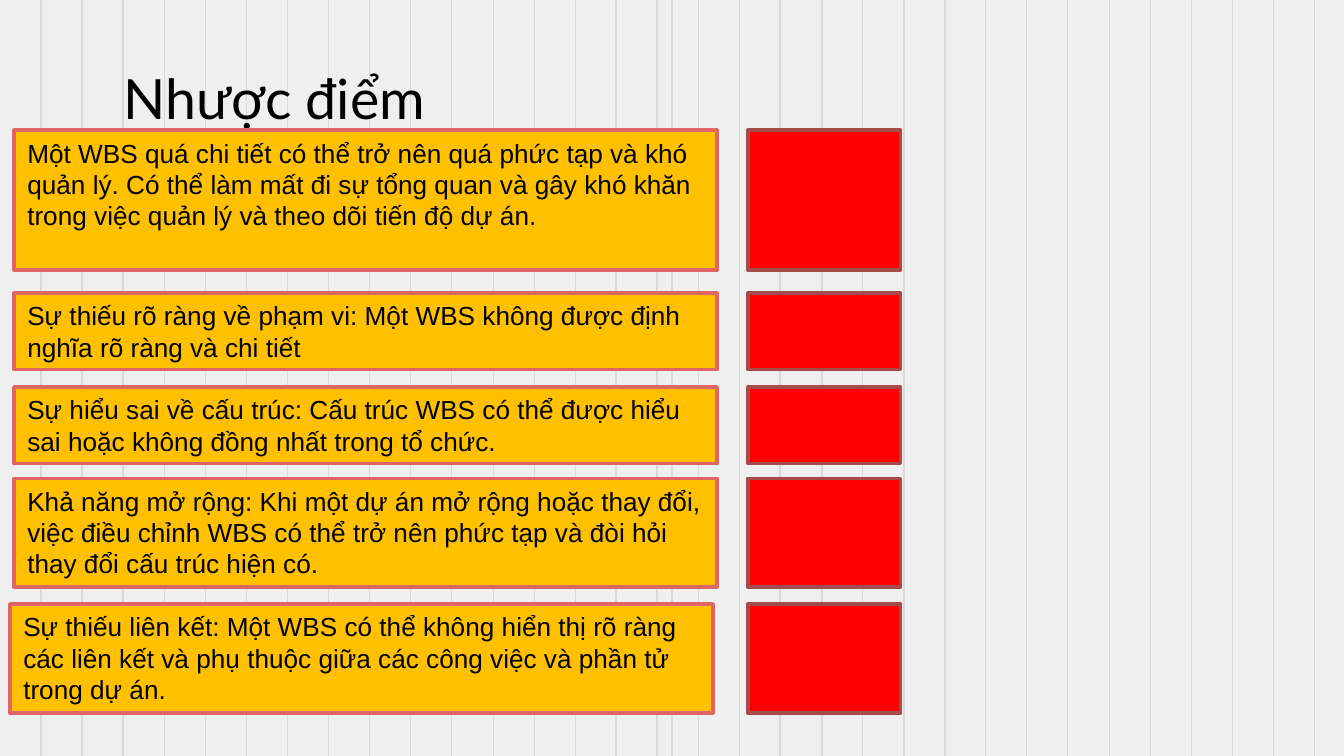
"""Builds the slide on the drawbacks of a work breakdown structure."""
from lxml import etree
from pptx import Presentation
from pptx.dml.color import RGBColor
from pptx.enum.shapes import MSO_CONNECTOR as CONN, MSO_SHAPE as SHAPE
from pptx.enum.text import MSO_ANCHOR as ANCHOR, PP_ALIGN as ALIGN
from pptx.oxml.ns import qn
from pptx.util import Pt

PX = 4572
WIDTH, HEIGHT = 2000, 1125
ITEMS = [
    (21, 194, 208, "Một WBS quá chi tiết có thể trở nên quá phức tạp và khó quản lý. "
     "Có thể làm mất đi sự tổng quan và gây khó khăn trong việc quản lý và theo dõi tiến độ dự án."),
    (21, 436, 114, "Sự thiếu rõ ràng về phạm vi: Một WBS không được định nghĩa rõ ràng và chi tiết"),
    (21, 576, 114, "Sự hiểu sai về cấu trúc: Cấu trúc WBS có thể được hiểu sai "
     "hoặc không đồng nhất trong tổ chức."),
    (21, 712, 162, "Khả năng mở rộng: Khi một dự án mở rộng hoặc thay đổi, việc điều chỉnh WBS "
     "có thể trở nên phức tạp và đòi hỏi thay đổi cấu trúc hiện có."),
    (15, 899, 162, "Sự thiếu liên kết: Một WBS có thể không hiển thị rõ ràng các liên kết "
     "và phụ thuộc giữa các công việc và phần tử trong dự án."),
]


def rgb(value):
    return RGBColor.from_string(value)


def write(sp, text, font, size):
    tf = sp.text_frame
    tf.word_wrap = True
    tf.vertical_anchor = ANCHOR.TOP
    tf.text = text
    p = tf.paragraphs[0]
    p.alignment = ALIGN.LEFT
    r = p.runs[0]
    r.font.name = font
    r.font.size = Pt(size)
    r.font.color.rgb = rgb("000000")


prs = Presentation()
prs.slide_width = WIDTH * PX
prs.slide_height = HEIGHT * PX
s = prs.slides.add_slide(prs.slide_layouts[6])
s.background.fill.solid()
s.background.fill.fore_color.rgb = rgb("EFEFEF")

stripes = [round(i * 61.13) for i in range(1, 33)]
for x in stripes + [WIDTH // 2]:
    line = s.shapes.add_connector(CONN.STRAIGHT, x * PX, 0, x * PX, HEIGHT * PX)
    line.line.color.rgb = rgb("D9D9D9")
    line.line.width = Pt(0.75)
    etree.SubElement(line._element.spPr, qn("a:effectLst"))

title = s.shapes.add_textbox(164 * PX, 76 * PX, 836 * PX, 126 * PX)
write(title, "Nhược điểm", "Lato", 29.7)
tf = title.text_frame
tf.margin_left = tf.margin_right = tf.margin_top = tf.margin_bottom = 20 * PX

for left, top, height, text in ITEMS:
    boxes = [(left, 1046, "FFC000", "E06666", text), (1113, 227, "FF0000", "A64B4B", None)]
    for x, width, fill, border, label in boxes:
        sp = s.shapes.add_shape(SHAPE.RECTANGLE, x * PX, top * PX, width * PX, height * PX)
        sp.shadow.inherit = False
        sp.fill.solid()
        sp.fill.fore_color.rgb = rgb(fill)
        sp.line.color.rgb = rgb(border)
        sp.line.width = Pt(2)
        if label:
            write(sp, label, "Arial", 14)

prs.save("out.pptx")
